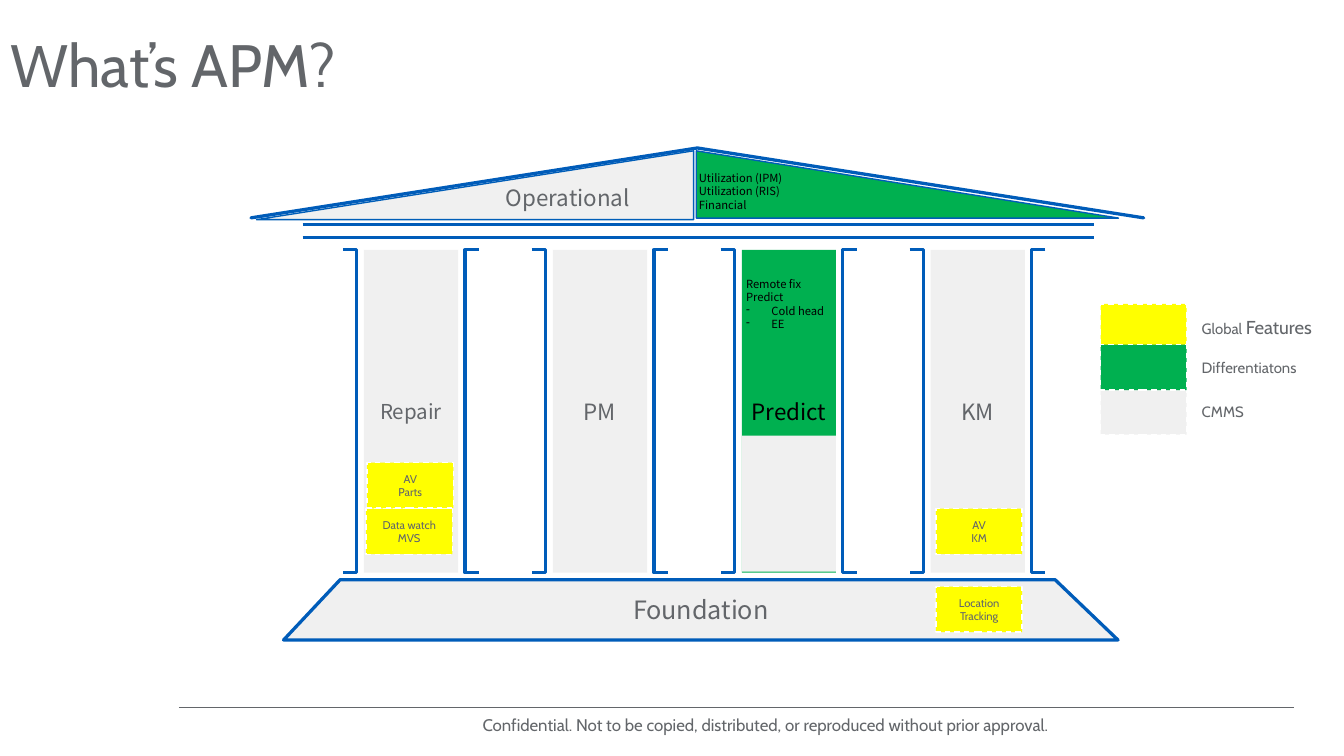
"""Build the slide that shows APM as a temple of four pillars."""
from typing import NamedTuple, Optional

from lxml import etree
from pptx import Presentation
from pptx.dml.color import RGBColor
from pptx.enum import dml, shapes, text
from pptx.oxml import ns
from pptx.util import Cm, Pt

GREY, PALE, BLUE, EDGE = "63666A", "F0F0F0", "005CB9", "005EB8"
GREEN, YELLOW, BLACK, WHITE = "00B050", "FFFF00", "000000", "FFFFFF"
CABIN, NOTO = "Cabin", "Noto Sans CJK SC"
KIND, ALIGN = shapes.MSO_SHAPE, text.PP_ALIGN


class Box(NamedTuple):
    left: float
    top: float
    width: float
    height: float


class Pillar(NamedTuple):
    name: str
    size: float = 12
    fill: str = PALE
    ink: str = GREY


class Tag(NamedTuple):
    left: float
    top: float
    label: str


class Key(NamedTuple):
    top: float
    fill: str
    label: str
    extra: str = ""


PILLARS = [Pillar("Repair", 11), Pillar("PM"),
           Pillar("Predict", fill=GREEN, ink=BLACK), Pillar("KM")]
TAGS = [Tag(6.92, 9.61, "Data watch\nMVS"), Tag(6.94, 8.74, "AV\nParts"),
        Tag(17.69, 11.08, "Location Tracking"), Tag(17.69, 9.61, "AV\nKM")]
KEYS = [Key(5.74, YELLOW, "Global ", "Features"), Key(7.35, PALE, "CMMS"),
        Key(6.51, GREEN, "Differentiatons")]


def rgb(code: str) -> RGBColor:
    return RGBColor.from_string(code)


def cms(box: Box) -> list[Cm]:
    return [Cm(n) for n in box]


def style(run, size: float, ink: str, font: str) -> None:
    run.font.size, run.font.name = Pt(size), font
    run.font.color.rgb = rgb(ink)


def write(shape, words: str, size: float, ink: str = GREY, font: str = NOTO,
          align=ALIGN.CENTER, inset: Optional[float] = 0, wrap: bool = True):
    frame = shape.text_frame
    frame.text, frame.word_wrap = words, wrap
    frame.vertical_anchor = text.MSO_ANCHOR.MIDDLE
    if inset is not None:
        frame.margin_left = frame.margin_right = Cm(inset)
        frame.margin_top = frame.margin_bottom = Cm(inset)
    for par in frame.paragraphs:
        par.alignment = align
        for run in par.runs:
            style(run, size, ink, font)
    return frame


def label(slide, box: Box, words: str, size: float, ink: str = GREY,
          font: str = NOTO, align=ALIGN.LEFT):
    return write(slide.shapes.add_textbox(*cms(box)), words, size, ink, font, align)


def paint(shape, fill: Optional[str], line: Optional[str] = None,
          width: float = 1.75):
    shape.shadow.inherit = False
    if fill:
        shape.fill.solid()
        shape.fill.fore_color.rgb = rgb(fill)
    else:
        shape.fill.background()
    if line:
        shape.line.color.rgb, shape.line.width = rgb(line), Pt(width)
    else:
        shape.line.fill.background()
    return shape


def draw(slide, kind, box: Box, fill: Optional[str],
         line: Optional[str] = None, width: float = 1.75):
    return paint(slide.shapes.add_shape(kind, *cms(box)), fill, line, width)


def flip(shape) -> None:
    shape.element.spPr.xfrm.set("flipH", "1")


def rule(slide, left: float, right: float, top: float, ink: str, width: float) -> None:
    line = slide.shapes.add_connector(shapes.MSO_CONNECTOR.STRAIGHT,
                                      Cm(left), Cm(top), Cm(right), Cm(top))
    line.line.color.rgb, line.line.width = rgb(ink), Pt(width)
    etree.SubElement(line.element.spPr, ns.qn("a:effectLst"))


def swatch(slide, left: float, top: float, fill: str):
    shape = draw(slide, KIND.RECTANGLE, Box(left, top, 1.63, 0.86), fill, WHITE, 0.75)
    shape.line.dash_style = dml.MSO_LINE.DASH
    return shape


def dash(par) -> None:
    props = par._p.get_or_add_pPr()
    props.set("marL", str(Cm(0.48)))
    props.set("indent", str(Cm(-0.48)))
    etree.SubElement(props, ns.qn("a:buChar")).set("char", "-")


def roof(slide) -> None:
    flip(draw(slide, KIND.RIGHT_TRIANGLE, Box(4.85, 2.85, 8.26, 1.3), PALE, EDGE, 0.75))
    draw(slide, KIND.RIGHT_TRIANGLE, Box(13.16, 2.85, 7.98, 1.27), GREEN, EDGE, 0.75)
    eaves = draw(slide, KIND.CHEVRON, Box(12.52, -4.98, 1.32, 16.87), "92D050", BLUE)
    eaves.adjustments[0], eaves.rotation = 1, 270
    for top in (4.24, 4.48):
        rule(slide, 5.72, 20.68, top, BLUE, 1.75)


def column(slide, left: float, item: Pillar) -> None:
    top, tall = 4.72, 6.1
    for shift in (0, 2.31):
        side = draw(slide, KIND.RIGHT_BRACKET, Box(left + shift, top, 0.26, tall), None, BLUE)
        side.adjustments[0] = 0
        if shift:
            flip(side)
    core = draw(slide, KIND.RECTANGLE, Box(left + 0.4, top, 1.78, tall), item.fill)
    write(core, item.name, item.size, item.ink, wrap=False)


def base(slide) -> None:
    pen = slide.shapes.build_freeform(Cm(6.43), Cm(10.95), 1)
    points = [(5.36, 12.09), (21.13, 12.09), (19.94, 10.95)]
    pen.add_line_segments([(Cm(x), Cm(y)) for x, y in points], close=True)
    write(paint(pen.convert_to_shape(), PALE, BLUE), "Foundation", 13.5)


def legend(slide, key: Key) -> None:
    swatch(slide, 20.8, key.top, key.fill)
    frame = label(slide, Box(22.71, key.top, 2.21, 0.86), key.label, 8, font=CABIN)
    if key.extra:
        run = frame.paragraphs[0].add_run()
        run.text = key.extra
        style(run, 10, GREY, CABIN)


def main() -> None:
    deck = Presentation()
    deck.slide_width, deck.slide_height = Cm(25.4), Cm(14.28)
    slide = deck.slides.add_slide(deck.slide_layouts[5])
    slide.background.fill.solid()
    slide.background.fill.fore_color.rgb = rgb(WHITE)

    title = slide.shapes.title
    title.left, title.top, title.width, title.height = cms(Box(0.2, 0.53, 23.19, 1.5))
    frame = write(title, "What’s APM?", 32, font=CABIN, align=ALIGN.LEFT)
    frame.paragraphs[0].line_spacing = 0.9

    label(slide, Box(9.12, 13.49, 10.85, 0.38),
          "Confidential. Not to be copied, distributed, or reproduced without prior approval.",
          9, font=CABIN)
    rule(slide, 3.38, 24.46, 13.36, GREY, 0.25)

    roof(slide)
    for spot, item in enumerate(PILLARS):
        column(slide, 6.48 + 3.57 * spot, item)
    base(slide)
    label(slide, Box(8.41, 3.48, 4.65, 0.51), "Operational", 12, align=ALIGN.CENTER)
    label(slide, Box(13.21, 3.23, 4.65, 0.76),
          "Utilization (IPM)\nUtilization (RIS)\nFinancial", 6, BLACK)
    for tag in TAGS:
        write(swatch(slide, tag.left, tag.top, YELLOW), tag.label, 6, font=CABIN, inset=None)
    draw(slide, KIND.RECTANGLE, Box(14.02, 8.23, 1.78, 2.57), PALE)
    notes = label(slide, Box(14.1, 5.23, 1.78, 1.02),
                  "Remote fix\nPredict\nCold head\nEE", 6, BLACK)
    for par in notes.paragraphs[2:]:
        dash(par)
    for key in KEYS:
        legend(slide, key)
    deck.save("out.pptx")


if __name__ == "__main__":
    main()
